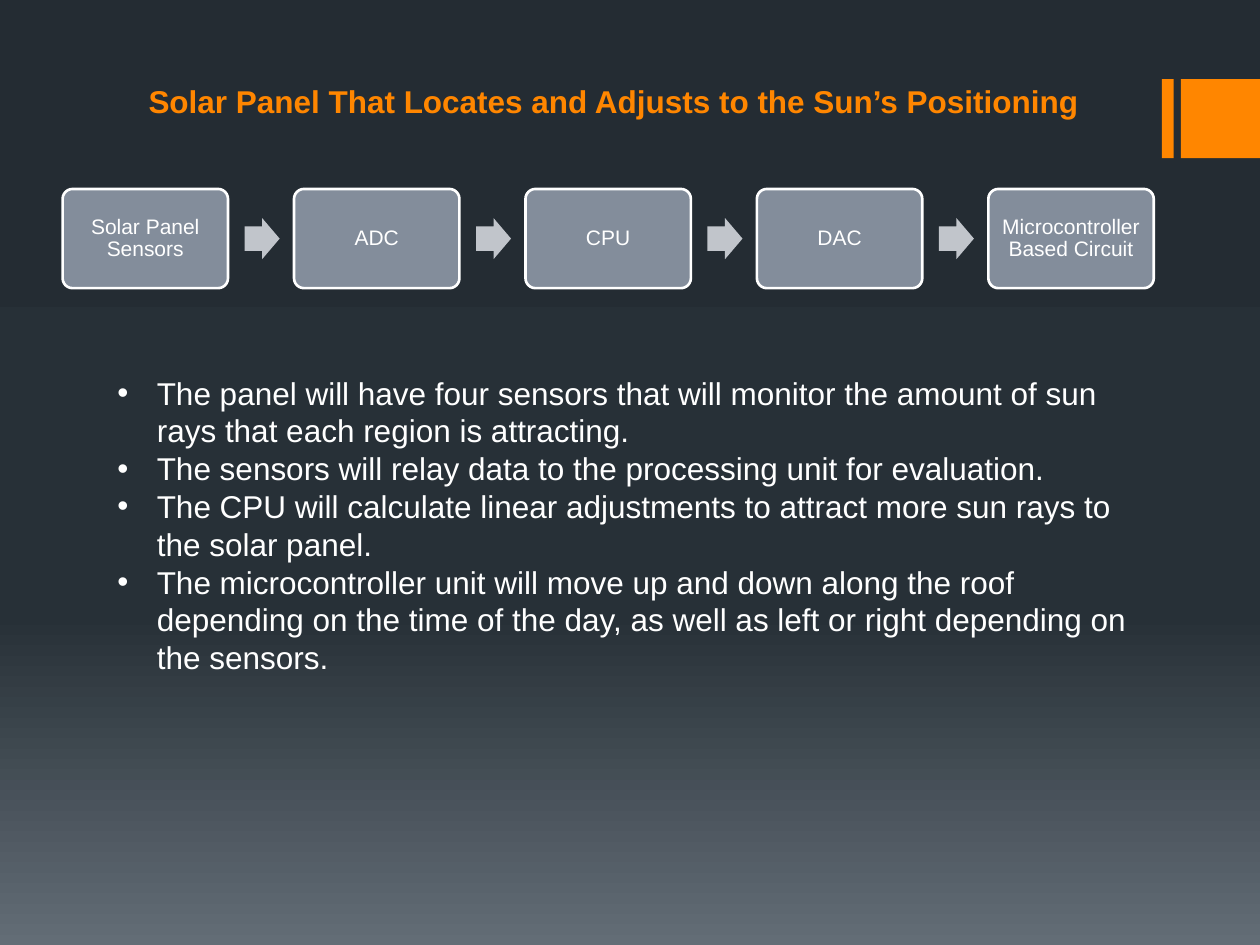
"""Build the solar panel slide with its signal chain and notes."""
from copy import deepcopy

from lxml.etree import SubElement
from pptx import Presentation
from pptx.dml.color import RGBColor
from pptx.enum.shapes import MSO_SHAPE
from pptx.enum.text import MSO_ANCHOR, PP_ALIGN
from pptx.oxml.ns import qn
from pptx.util import Pt

ORANGE = RGBColor(0xFF, 0x86, 0x00)
WHITE = RGBColor(0xFF, 0xFF, 0xFF)
SLATE = RGBColor(0x83, 0x8D, 0x9B)
SILVER = RGBColor(0xC1, 0xC5, 0xCB)
SKY = [
    (0, RGBColor(0x24, 0x2C, 0x33)),
    (0.65, RGBColor(0x27, 0x30, 0x37)),
    (1, RGBColor(0x63, 0x6D, 0x76)),
]
TITLE = {"name": "Arial", "size": Pt(18), "bold": True}
BODY = {"name": "Arial", "size": Pt(18)}
LABEL = {"name": "Arial", "size": Pt(12)}
INSET = {
    "margin_left": Pt(3.6),
    "margin_right": Pt(3.6),
    "margin_top": Pt(3.6),
    "margin_bottom": Pt(3.6),
    "vertical_anchor": MSO_ANCHOR.MIDDLE,
    "word_wrap": True,
}
STEPS = ["Solar Panel Sensors", "ADC", "CPU", "DAC", "Microcontroller Based Circuit"]
NOTES = [
    "The panel will have four sensors that will monitor the amount of sun rays that each region is attracting.",
    "The sensors will relay data to the processing unit for evaluation.",
    "The CPU will calculate linear adjustments to attract more sun rays to the solar panel.",
    "The microcontroller unit will move up and down along the roof depending on the time of the day, "
    "as well as left or right depending on the sensors.",
]


def draw(kind, left, top, width, height, color):
    shape = slide.shapes.add_shape(kind, Pt(left), Pt(top), Pt(width), Pt(height))
    shape.shadow.inherit = False
    shape.fill.solid()
    shape.fill.fore_color.rgb = color
    shape.line.fill.background()
    return shape


def write(para, text, style, color):
    run = para.add_run()
    run.text = text
    for key, value in style.items():
        setattr(run.font, key, value)
    run.font.color.rgb = color


deck = Presentation()
deck.slide_width, deck.slide_height = Pt(720), Pt(540)
slide = deck.slides.add_slide(deck.slide_layouts[6])

fill = slide.background.fill
fill.gradient()
fill.gradient_angle = 270
stops = next(slide.element.iter(qn("a:gsLst")))
stops.append(deepcopy(stops[-1]))
for stop, (place, color) in zip(fill.gradient_stops, SKY):
    stop.position = place
    stop.color.rgb = color

for left, width in [(664, 6.7), (674.8, 45.2)]:
    draw(MSO_SHAPE.RECTANGLE, left, 45.2, width, 45.2, ORANGE)

title = slide.shapes.add_textbox(Pt(77.8), Pt(41.8), Pt(576), Pt(30.2)).text_frame
title.word_wrap = True
title.vertical_anchor = MSO_ANCHOR.BOTTOM
write(title.paragraphs[0], "Solar Panel That Locates and Adjusts to the Sun’s Positioning", TITLE, ORANGE)

for i, step in enumerate(STEPS):
    left = 35.8 + 132.25 * i
    box = draw(MSO_SHAPE.ROUNDED_RECTANGLE, left, 108, 94.5, 56.7, SLATE)
    box.adjustments[0] = 0.1
    box.line.color.rgb = WHITE
    box.line.width = Pt(1.5)
    for key, value in INSET.items():
        setattr(box.text_frame, key, value)
    para = box.text_frame.paragraphs[0]
    para.alignment = PP_ALIGN.CENTER
    para.line_spacing = 0.9
    write(para, step, LABEL, WHITE)
    if i < len(STEPS) - 1:
        arrow = draw(MSO_SHAPE.RIGHT_ARROW, left + 104, 124.6, 20, 23.5, SILVER)
        arrow.adjustments[0] = 0.6

notes = slide.shapes.add_textbox(Pt(60), Pt(210), Pt(600), Pt(204)).text_frame
notes.word_wrap = True
for i, note in enumerate(NOTES):
    para = notes.add_paragraph() if i else notes.paragraphs[0]
    write(para, note, BODY, WHITE)
    props = para._p.get_or_add_pPr()
    props.set("marL", str(Pt(22.5)))
    props.set("indent", str(-Pt(22.5)))
    SubElement(props, qn("a:buFont"), typeface="Arial")
    SubElement(props, qn("a:buChar"), char="•")

deck.save("out.pptx")
